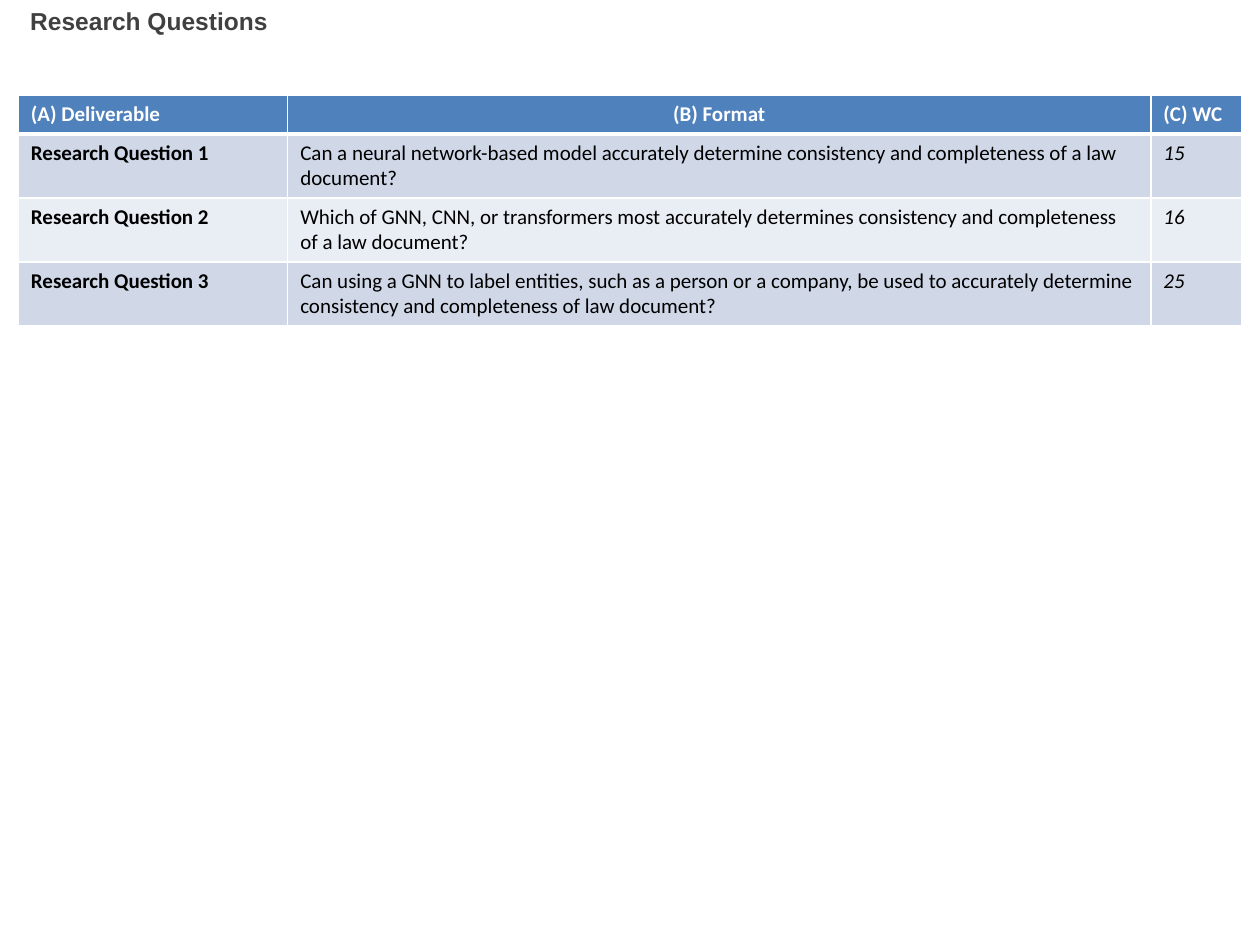
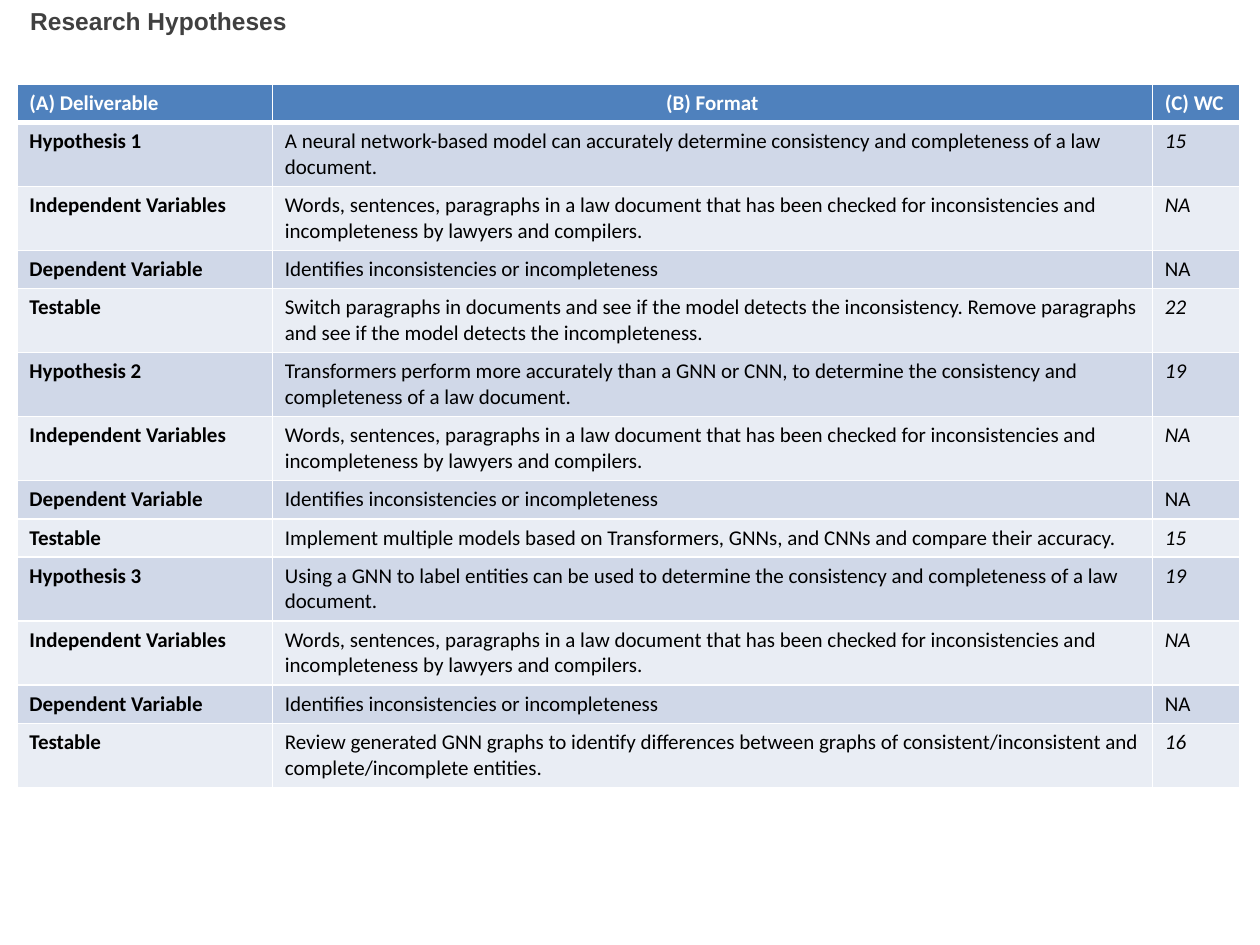
from lxml import etree
from pptx import Presentation, util as u
from pptx.dml.color import RGBColor
from pptx.enum import text
from pptx.oxml.ns import qn

COLOURS = {
    "title": "404040",
    "header": "4F81BD",
    "odd_row": "D0D8E8",
    "even_row": "E9EDF4",
    "header_text": "FFFFFF",
    "body_text": "000000",
    "border": "FFFFFF",
}
TITLE_BOX = (0.36, 0, 21.54, 1.73)
HEADINGS = ("(A) Deliverable", "(B) Format", "(C) WC")
LINE_CAPACITY = 95
ONE_LINE_HEIGHT, TWO_LINE_HEIGHT = 0.77, 1.29

QUESTIONS = [
    ("Research Question 1", "Can a neural network-based model accurately determine consistency "
     "and completeness of a law document?", "15"),
    ("Research Question 2", "Which of GNN, CNN, or transformers most accurately determines "
     "consistency and completeness of a law document?", "16"),
    ("Research Question 3", "Can using a GNN to label entities, such as a person or a company, "
     "be used to accurately determine consistency and completeness of law document?", "25"),
]
VARIABLES = [
    ("Independent Variables", "Words, sentences, paragraphs in a law document that has been "
     "checked for inconsistencies and incompleteness by lawyers and compilers.", "NA"),
    ("Dependent Variable", "Identifies inconsistencies or incompleteness", "NA"),
]
HYPOTHESES = [
    ("A neural network-based model can accurately determine consistency and completeness "
     "of a law document.", "15",
     "Switch paragraphs in documents and see if the model detects the inconsistency. "
     "Remove paragraphs and see if the model detects the incompleteness.", "22"),
    ("Transformers perform more accurately than a GNN or CNN, to determine the consistency "
     "and completeness of a law document.", "19",
     "Implement multiple models based on Transformers, GNNs, and CNNs and compare their "
     "accuracy.", "15"),
    ("Using a GNN to label entities can be used to determine the consistency and "
     "completeness of a law document.", "19",
     "Review generated GNN graphs to identify differences between graphs of "
     "consistent/inconsistent and complete/incomplete entities.", "16"),
]


def hypothesis_rows():
    """Return the four table rows of each hypothesis in turn."""
    rows = []
    for number, (claim, claim_count, test, test_count) in enumerate(HYPOTHESES, 1):
        rows += [(f"Hypothesis {number}", claim, claim_count), *VARIABLES,
                 ("Testable", test, test_count)]
    return rows


def format_font(paragraph, name, size, colour, bold=False, italic=False):
    """Format every run of a paragraph."""
    for run in paragraph.runs:
        font = run.font
        font.name, font.size = name, u.Pt(size)
        font.bold, font.italic = bold, italic
        font.color.rgb = RGBColor.from_string(COLOURS[colour])


def set_borders(cell, top, bottom):
    """Draw the cell borders, with top and bottom widths in points."""
    properties = cell._tc.get_or_add_tcPr()
    widths = {"lnL": 1, "lnR": 1, "lnT": top, "lnB": bottom}
    for position, (tag, width) in enumerate(widths.items()):
        line = etree.Element(qn(f"a:{tag}"), w=str(u.Pt(width)))
        fill = etree.SubElement(line, qn("a:solidFill"))
        etree.SubElement(fill, qn("a:srgbClr"), val=COLOURS["border"])
        properties.insert(position, line)


def add_title(slide, title, box):
    """Place the slide title in its box."""
    shape = slide.shapes.add_textbox(*map(u.Cm, box))
    shape.text_frame.word_wrap = True
    shape.text_frame.text = title
    format_font(shape.text_frame.paragraphs[0], "Arial", 14, "title", bold=True)


def fill_cell(cell, content, row, column):
    """Write one table cell and style it by its row and column."""
    header = row == 0
    fill = "header" if header else "odd_row" if row % 2 else "even_row"
    cell.fill.solid()
    cell.fill.fore_color.rgb = RGBColor.from_string(COLOURS[fill])
    set_borders(cell, top=3 if row == 1 else 1, bottom=3 if header else 1)
    cell.text_frame.text = content[column]
    paragraph = cell.text_frame.paragraphs[0]
    if header and column == 1:
        paragraph.alignment = text.PP_ALIGN.CENTER
    format_font(paragraph, "Calibri", 12, "header_text" if header else "body_text",
                bold=header or column == 0,
                italic=not header and column == 2 and content[0] != "Dependent Variable")


def add_deliverables(slide, rows, left, top, widths):
    """Place a deliverables table whose row heights follow the text length."""
    contents = [HEADINGS, *rows]
    heights = [TWO_LINE_HEIGHT if len(content[1]) > LINE_CAPACITY else ONE_LINE_HEIGHT
               for content in contents]
    box = (left, top, sum(widths), sum(heights))
    table = slide.shapes.add_table(len(contents), len(widths), *map(u.Cm, box)).table
    table.horz_banding = False
    for column, width in zip(table.columns, widths):
        column.width = u.Cm(width)
    for row, (content, height) in enumerate(zip(contents, heights)):
        table.rows[row].height = u.Cm(height)
        for column in range(len(widths)):
            fill_cell(table.cell(row, column), content, row, column)


def add_table_slide(presentation, title, rows, left, top, widths):
    """Add a slide with a title above a deliverables table."""
    slide = presentation.slides.add_slide(presentation.slide_layouts[6])
    add_deliverables(slide, rows, left, top, widths)
    add_title(slide, title, TITLE_BOX)


def main():
    """Build and save the presentation."""
    presentation = Presentation()
    presentation.slide_width, presentation.slide_height = u.Cm(25.4), u.Cm(19.05)
    add_table_slide(presentation, "Research Questions", QUESTIONS,
                    0.37, 1.93, (5.43, 17.4, 1.83))
    add_table_slide(presentation, "Research Hypotheses", hypothesis_rows(),
                    0.34, 1.7, (5.15, 17.74, 1.77))
    presentation.save("out.pptx")


if __name__ == "__main__":
    main()
